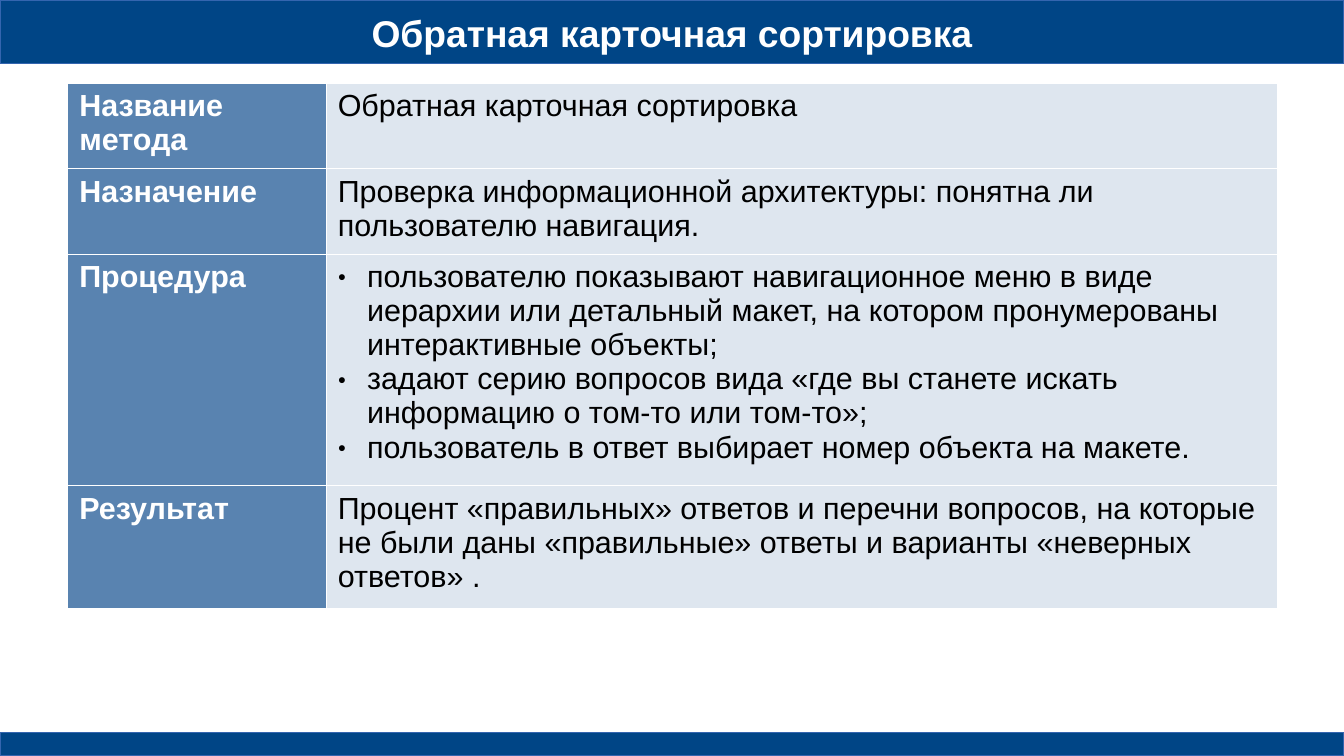
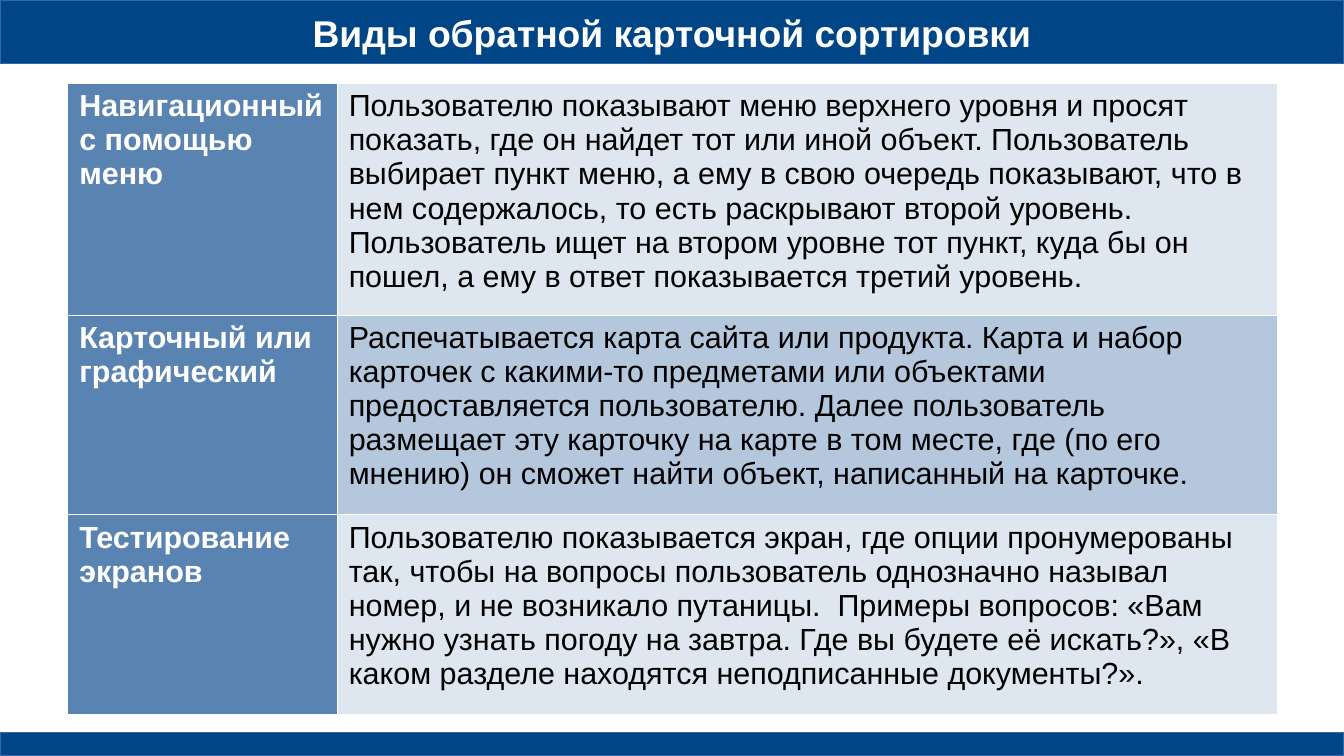
import pptx
import pptx.util
import pptx.dml.color
import pptx.enum.shapes
import pptx.enum.text
import pptx.oxml.ns
from lxml import etree

Inches = pptx.util.Inches
Pt = pptx.util.Pt
RGBColor = pptx.dml.color.RGBColor
qn = pptx.oxml.ns.qn

NAVY = RGBColor(0x00, 0x45, 0x86)
BAND_LINE = RGBColor(0x34, 0x65, 0xAF)
WHITE = RGBColor(0xFF, 0xFF, 0xFF)
BLACK = RGBColor(0x00, 0x00, 0x00)
LABEL_BLUE = RGBColor(0x59, 0x83, 0xB0)
PALE = RGBColor(0xDE, 0xE6, 0xEF)
MEDIUM = RGBColor(0xB4, 0xC7, 0xDC)

FONT = "Arial"
PAGE_WIDTH, PAGE_HEIGHT = 11.02, 6.2
HEADER_HEIGHT, FOOTER_HEIGHT = 0.52, 0.19
TABLE_LEFT, TABLE_TOP = 0.55, 0.68
BULLET_INDENT = 0.24

METHOD_ROWS = [
    ("Название метода", ["Обратная карточная сортировка"], PALE, 0.7),
    ("Назначение",
     ["Проверка информационной архитектуры: понятна ли пользователю навигация."],
     PALE, 0.7),
    ("Процедура",
     ["пользователю показывают навигационное меню в виде иерархии или детальный "
      "макет, на котором пронумерованы интерактивные объекты;",
      "задают серию вопросов вида «где вы станете искать информацию о том-то или "
      "том-то»;",
      "пользователь в ответ выбирает номер объекта на макете."],
     PALE, 1.89),
    ("Результат",
     ["Процент «правильных» ответов и перечни вопросов, на которые не были даны "
      "«правильные» ответы и варианты «неверных ответов» ."],
     PALE, 1.01),
]

KIND_ROWS = [
    ("Навигационный с помощью меню",
     ["Пользователю показывают меню верхнего уровня и просят",
      "показать, где он найдет тот или иной объект. Пользователь выбирает пункт "
      "меню, а ему в свою очередь показывают, что в нем содержалось, то есть "
      "раскрывают второй уровень. Пользователь ищет на втором уровне тот пункт, "
      "куда бы он пошел, а ему в ответ показывается третий уровень."],
     PALE, 1.89),
    ("Карточный или графический",
     ["Распечатывается карта сайта или продукта. Карта и набор карточек с "
      "какими-то предметами или объектами предоставляется пользователю. Далее "
      "пользователь",
      "размещает эту карточку на карте в том месте, где (по его мнению) он сможет "
      "найти объект, написанный на карточке."],
     MEDIUM, 1.64),
    ("Тестирование экранов",
     ["Пользователю показывается экран, где опции пронумерованы так, чтобы на "
      "вопросы пользователь однозначно называл номер, и не возникало путаницы.  "
      "Примеры вопросов: «Вам нужно узнать погоду на завтра. Где вы будете её "
      "искать?», «В каком разделе находятся неподписанные документы?»."],
     PALE, 1.64),
]


def style_font(para, size, color, bold):
    para.font.name = FONT
    para.font.size = Pt(size)
    para.font.bold = bold
    para.font.color.rgb = color


def add_bullet(para):
    properties = para._p.get_or_add_pPr()
    properties.set("marL", str(Inches(BULLET_INDENT)))
    properties.set("indent", str(-Inches(BULLET_INDENT)))
    color = etree.SubElement(properties, qn("a:buClr"))
    etree.SubElement(color, qn("a:srgbClr"), val=str(BLACK))
    etree.SubElement(properties, qn("a:buSzPct"), val="45000")
    etree.SubElement(properties, qn("a:buFont"), typeface=FONT)
    etree.SubElement(properties, qn("a:buChar"), char="●")


def add_borders(cell):
    properties = cell._tc.get_or_add_tcPr()
    for index, side in enumerate(("lnL", "lnR", "lnT", "lnB")):
        line = etree.Element(qn("a:" + side), w=str(Pt(0.06)))
        fill = etree.SubElement(line, qn("a:solidFill"))
        etree.SubElement(fill, qn("a:srgbClr"), val=str(WHITE))
        properties.insert(index, line)


def fill_cell(cell, texts, fill, color, bold):
    cell.fill.solid()
    cell.fill.fore_color.rgb = fill
    cell.margin_left = cell.margin_right = Inches(0.1)
    cell.margin_top = cell.margin_bottom = Inches(0.05)
    add_borders(cell)
    cell.text = "\n".join(texts)
    for para in cell.text_frame.paragraphs:
        if len(texts) > 2:
            add_bullet(para)
        style_font(para, 18, color, bold)


def add_band(page, top, height):
    band = page.shapes.add_shape(
        pptx.enum.shapes.MSO_SHAPE.RECTANGLE,
        0, Inches(top), Inches(PAGE_WIDTH), Inches(height))
    band.shadow.inherit = False
    band.fill.solid()
    band.fill.fore_color.rgb = NAVY
    band.line.color.rgb = BAND_LINE
    band.line.width = 0


def add_title(page, title):
    box = page.shapes.add_textbox(0, 0, Inches(PAGE_WIDTH), Inches(0.53))
    frame = box.text_frame
    frame.word_wrap = True
    frame.margin_left = frame.margin_right = 0
    frame.margin_top = frame.margin_bottom = 0
    frame.vertical_anchor = pptx.enum.text.MSO_ANCHOR.MIDDLE
    para = frame.paragraphs[0]
    para.text = title
    para.alignment = pptx.enum.text.PP_ALIGN.CENTER
    style_font(para, 22, WHITE, True)


def add_description_table(page, left, top, widths, rows):
    height = sum(row[3] for row in rows)
    table = page.shapes.add_table(
        len(rows), len(widths), Inches(left), Inches(top),
        Inches(sum(widths)), Inches(height)).table
    table.first_row = False
    table.horz_banding = False
    for column, width in zip(table.columns, widths):
        column.width = Inches(width)
    for index, (label, texts, fill, row_height) in enumerate(rows):
        table.rows[index].height = Inches(row_height)
        fill_cell(table.cell(index, 0), [label], LABEL_BLUE, WHITE, True)
        fill_cell(table.cell(index, 1), texts, fill, BLACK, False)


def add_table_page(deck, title, widths, rows):
    page = deck.slides.add_slide(deck.slide_layouts[6])
    add_band(page, 0, HEADER_HEIGHT)
    add_band(page, PAGE_HEIGHT - FOOTER_HEIGHT, FOOTER_HEIGHT)
    add_title(page, title)
    add_description_table(page, TABLE_LEFT, TABLE_TOP, widths, rows)


def main():
    deck = pptx.Presentation()
    deck.slide_width = Inches(PAGE_WIDTH)
    deck.slide_height = Inches(PAGE_HEIGHT)
    add_table_page(deck, "Обратная карточная сортировка", (2.12, 7.8), METHOD_ROWS)
    add_table_page(deck, "Виды обратной карточной сортировки", (2.21, 7.71), KIND_ROWS)
    deck.save("out.pptx")


if __name__ == "__main__":
    main()
